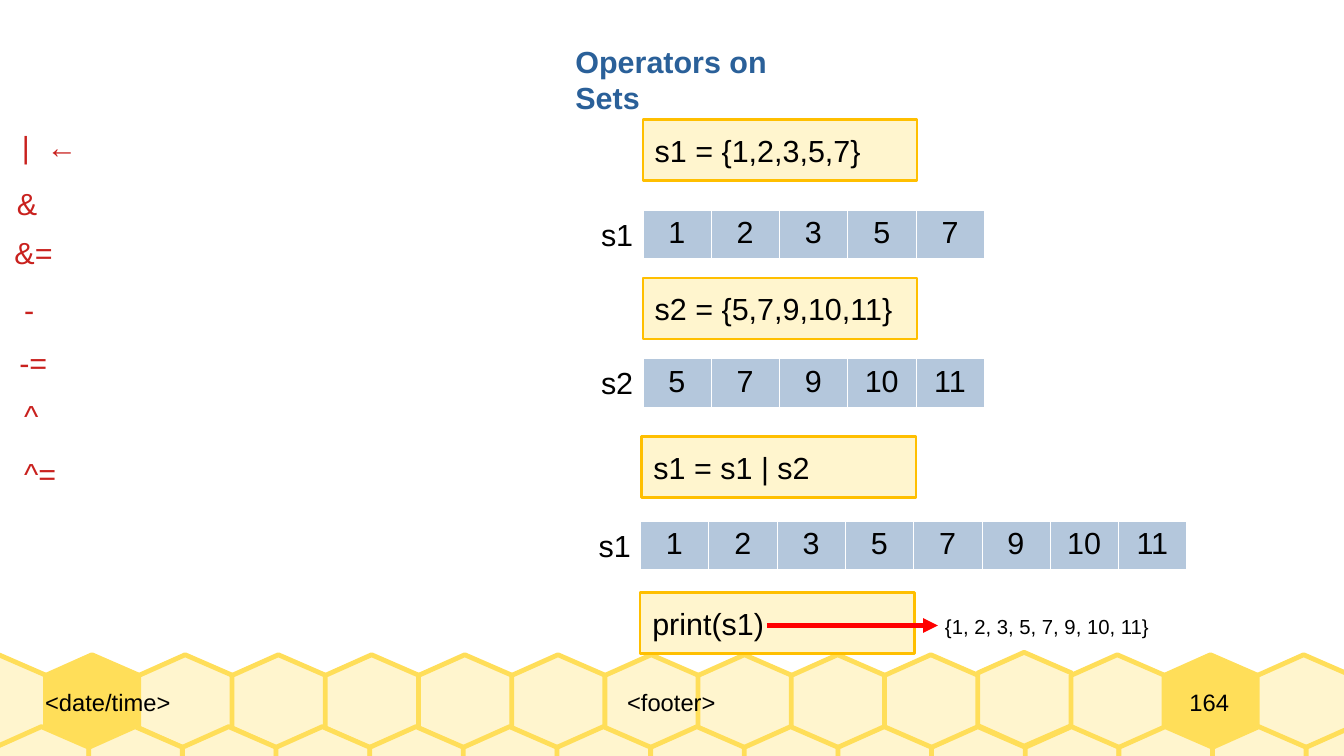
from lxml.etree import SubElement
from pptx import Presentation
from pptx.dml.color import RGBColor
from pptx.enum.shapes import MSO_CONNECTOR, MSO_SHAPE
from pptx.enum.text import MSO_ANCHOR, PP_ALIGN
from pptx.oxml.ns import qn
from pptx.util import Inches, Pt

COLORS = {
    "pale": "FFF5CE", "honey": "FFDE59", "amber": "FFBF00", "cell": "B4C7DC",
    "title": "2A6099", "operator": "C9211E", "text": "000000",
    "arrow": "FF0000", "white": "FFFFFF",
}


def rgb(name):
    return RGBColor.from_string(COLORS[name])


def write(frame, text, size=18, color="text", align=PP_ALIGN.LEFT,
          bold=False, wrap=True, anchor=MSO_ANCHOR.TOP):
    frame.word_wrap = wrap
    frame.vertical_anchor = anchor
    paragraph = frame.paragraphs[0]
    paragraph.text = text
    paragraph.alignment = align
    paragraph.font.name = "Arial"
    paragraph.font.size = Pt(size)
    paragraph.font.bold = bold
    paragraph.font.color.rgb = rgb(color)


prs = Presentation()
prs.slide_width, prs.slide_height = Inches(11.02), Inches(6.2)
slide = prs.slides.add_slide(prs.slide_layouts[6])
shapes = slide.shapes

# Honeycomb: two rows of 15 cells (first left, last left, top, filled cells, raised cells)
HEXAGON = [(0.38, 0), (0, 0.17), (0, 0.6), (0.38, 0.77), (0.77, 0.6), (0.77, 0.17)]
honeycomb = [(-0.39, 10.31, 5.37, (1, 13), (11,)), (-0.04, 10.71, 5.96, (), ())]
for first, last, row_top, filled, raised in honeycomb:
    for i in range(15):
        left = first + (last - first) * i / 14
        top = row_top - 0.02 if i in raised else row_top
        points = [(Inches(left + x), Inches(top + y)) for x, y in HEXAGON]
        outline = shapes.build_freeform(*points[0])
        outline.add_line_segments(points[1:], close=True)
        hexagon = outline.convert_to_shape()
        hexagon.shadow.inherit = False
        hexagon.fill.solid()
        hexagon.fill.fore_color.rgb = rgb("honey" if i in filled else "pale")
        hexagon.line.color.rgb = rgb("honey")
        hexagon.line.width = Pt(2.83)

# Footer
for text, left, width, align in [
    ("<date/time>", 0.37, 2.63, PP_ALIGN.LEFT),
    ("<footer>", 3, 5.01, PP_ALIGN.CENTER),
    ("164", 9.29, 1.25, PP_ALIGN.CENTER),
]:
    footer = shapes.add_textbox(Inches(left), Inches(5.37), Inches(width), Inches(0.77)).text_frame
    footer.margin_left = footer.margin_right = footer.margin_top = footer.margin_bottom = 0
    write(footer, text, size=14, align=align, anchor=MSO_ANCHOR.MIDDLE)

# Title
title = shapes.add_textbox(Inches(4.62), Inches(0.3), Inches(2.36), Inches(0.38))
write(title.text_frame, "Operators on Sets", color="title", bold=True, wrap=False)

# Operators
for text, left, top in [
    ("|  ←", 0.08, 1), ("&", 0.04, 1.47), ("&=", 0.02, 1.87), ("-", 0.1, 2.34),
    ("-=", 0.06, 2.77), ("^", 0.1, 3.21), ("^=", 0.1, 3.68),
]:
    operator = shapes.add_textbox(Inches(left), Inches(top), Inches(0.72), Inches(0.38))
    write(operator.text_frame, text, color="operator")

# Statements
for text, left, top in [
    ("s1 = {1,2,3,5,7}", 5.27, 0.98), ("s2 = {5,7,9,10,11}", 5.27, 2.28),
    ("s1 = s1 | s2", 5.26, 3.58), ("print(s1)", 5.25, 4.86),
]:
    statement = shapes.add_shape(MSO_SHAPE.RECTANGLE, Inches(left), Inches(top),
                                 Inches(2.25), Inches(0.5))
    statement.shadow.inherit = False
    statement.fill.solid()
    statement.fill.fore_color.rgb = rgb("pale")
    statement.line.color.rgb = rgb("amber")
    statement.line.width = Pt(1.42)
    write(statement.text_frame, text, anchor=MSO_ANCHOR.MIDDLE)

# Set contents with their names
for name, values, left, top in [
    ("s1", (1, 2, 3, 5, 7), 5.27, 1.72),
    ("s2", (5, 7, 9, 10, 11), 5.27, 2.94),
    ("s1", (1, 2, 3, 5, 7, 9, 10, 11), 5.25, 4.27),
]:
    members = shapes.add_table(1, len(values), Inches(left), Inches(top),
                               Inches(0.56 * len(values)), Inches(0.38)).table
    members.first_row = members.horz_banding = False
    for column, value in enumerate(values):
        members.columns[column].width = Inches(0.56)
        cell = members.cell(0, column)
        write(cell.text_frame, str(value), align=PP_ALIGN.CENTER)
        properties = cell._tc.get_or_add_tcPr()
        for side in ("a:lnL", "a:lnR", "a:lnT", "a:lnB"):
            border = SubElement(properties, qn(side), w=str(Pt(0.06)))
            border_fill = SubElement(border, qn("a:solidFill"))
            SubElement(border_fill, qn("a:srgbClr"), val=COLORS["white"])
        cell.fill.solid()
        cell.fill.fore_color.rgb = rgb("cell")
    set_name = shapes.add_textbox(Inches(left - 0.44), Inches(top), Inches(0.5), Inches(0.38))
    write(set_name.text_frame, name)

# Printed result
result = shapes.add_textbox(Inches(7.65), Inches(4.99), Inches(1.89), Inches(0.29))
write(result.text_frame, "{1, 2, 3, 5, 7, 9, 10, 11}", size=12, wrap=False)
arrow = shapes.add_connector(MSO_CONNECTOR.STRAIGHT, Inches(6.29), Inches(5.13),
                             Inches(7.69), Inches(5.13))
arrow.line.color.rgb = rgb("arrow")
arrow.line.width = Pt(2.89)
SubElement(arrow.line._get_or_add_ln(), qn("a:tailEnd"), type="triangle")
SubElement(arrow._element.spPr, qn("a:effectLst"))

prs.save("out.pptx")
